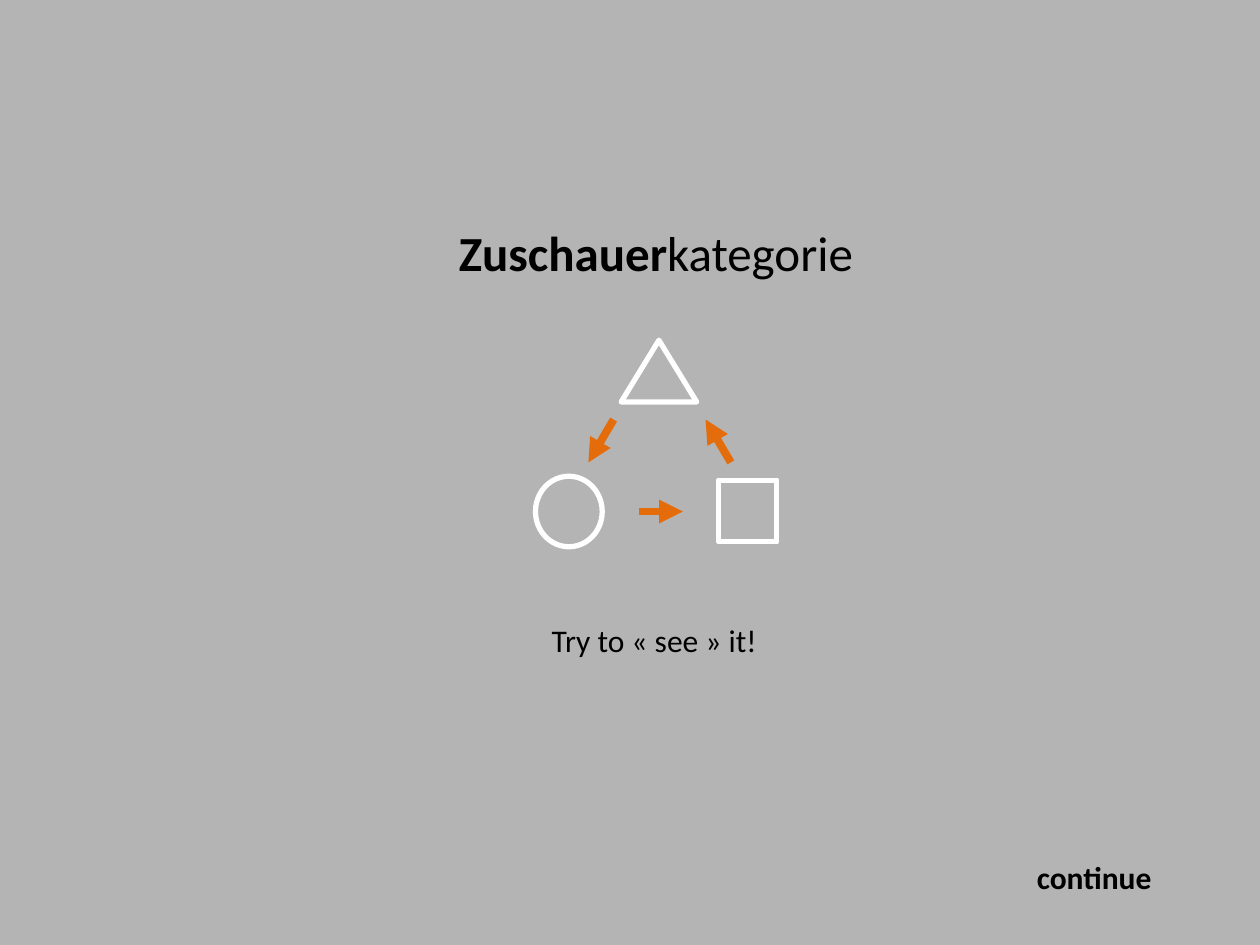
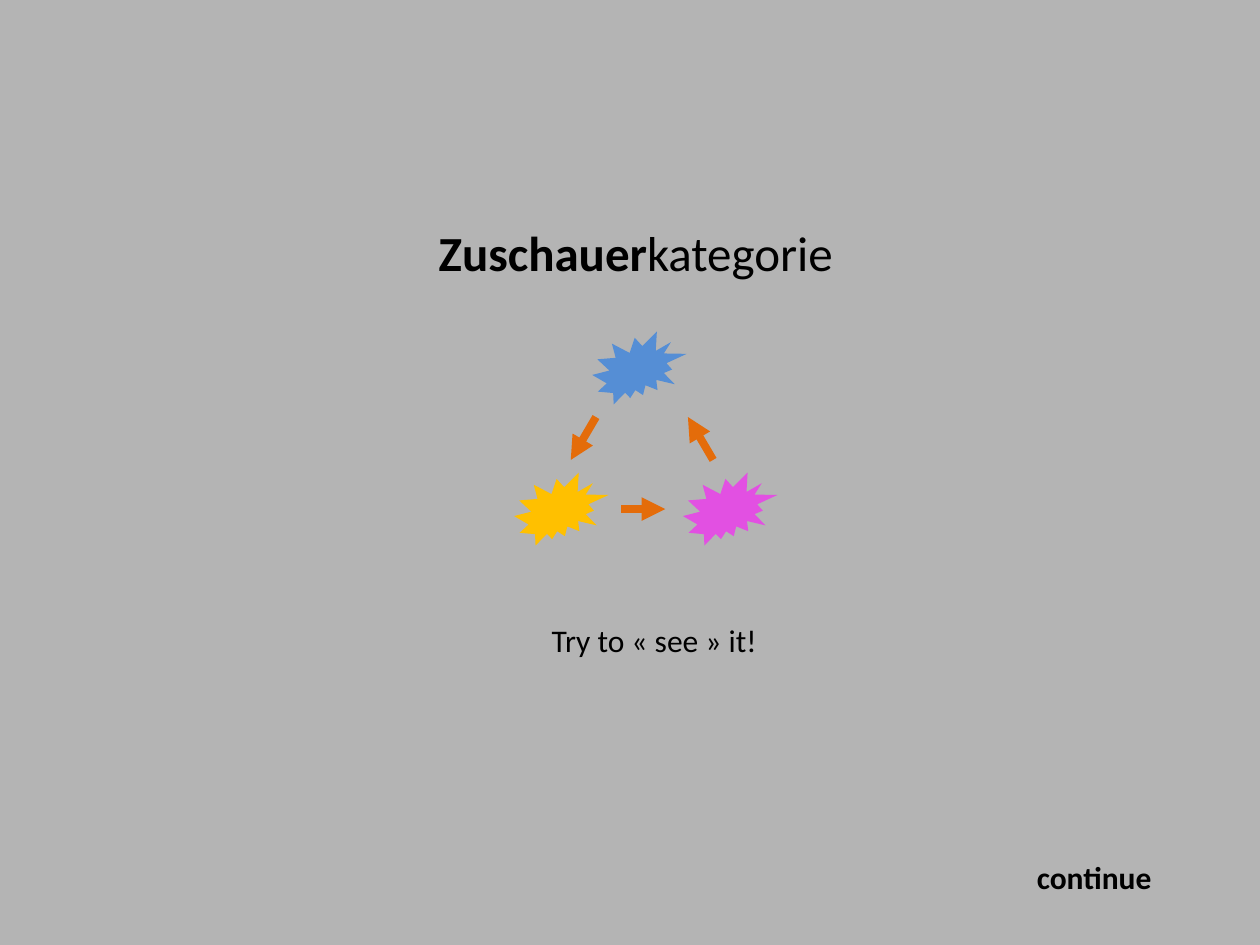
from lxml import etree
from pptx import Presentation
from pptx.dml.color import RGBColor
from pptx.enum.shapes import MSO_CONNECTOR, MSO_SHAPE
from pptx.enum.text import MSO_ANCHOR, PP_ALIGN
from pptx.oxml.ns import qn
from pptx.util import Inches, Pt

STRAIGHT = MSO_CONNECTOR.STRAIGHT
FRAME = MSO_SHAPE.FRAME
CIRCLE = MSO_SHAPE.OVAL
TRIANGLE = MSO_SHAPE.ISOSCELES_TRIANGLE
BURST = MSO_SHAPE.EXPLOSION2
BOTTOM, TOP = MSO_ANCHOR.BOTTOM, MSO_ANCHOR.TOP
CENTER, LEFT = PP_ALIGN.CENTER, PP_ALIGN.LEFT

BACKGROUND, INK, OUTLINE, ARROW = "B4B4B4", "000000", "FFFFFF", "E46C0A"
FONT = "Calibri"
ARROW_WIDTH = 4.5
TITLE_SIZE = (9.25, 1.78)
BURST_SIZE = (0.75, 0.58)

ARROWS = [
    ((0.62, 0.63), (0.42, 0.97)),
    ((1.55, 0.97), (1.35, 0.63)),
    ((0.82, 1.36), (1.17, 1.36)),
]
OUTLINES = [
    (FRAME, (1.45, 1.11), (0.47, 0.49), 2),
    (CIRCLE, (0, 1.08), (0.53, 0.56), 3),
    (TRIANGLE, (0.68, 0), (0.6, 0.49), 3),
]
BURSTS = [
    ((0.59, -0.05), "558ED5"),
    ((-0.03, 1.07), "FFC000"),
    ((1.31, 1.07), "E250E2"),
]


def color(value):
    """Turn a hex string into a colour."""
    return RGBColor.from_string(value)


def set_format(target, values):
    """Set each named attribute of the target."""
    for name, value in values.items():
        setattr(target, name, value)


def add_text(page, place, size, spans, points, align=LEFT, anchor=TOP, wrap=False):
    """Add a text box holding one paragraph of (text, bold) spans."""
    box = page.shapes.add_textbox(*map(Inches, place + size))
    set_format(box.text_frame, {"word_wrap": wrap, "vertical_anchor": anchor})
    para = box.text_frame.paragraphs[0]
    para.alignment = align
    for text, bold in spans:
        span = para.add_run()
        span.text = text
        set_format(span.font, {"name": FONT, "size": Pt(points), "bold": bold})
        span.font.color.rgb = color(INK)


def add_figure(page, kind, origin, offset, size):
    """Add a preset shape at an offset from the origin."""
    place = [start + step for start, step in zip(origin, offset)]
    figure = page.shapes.add_shape(kind, *map(Inches, (*place, *size)))
    figure.shadow.inherit = False
    return figure


def add_arrows(page, origin):
    """Add the three arrows that lead around the cycle."""
    left, top = origin
    for (x1, y1), (x2, y2) in ARROWS:
        ends = (left + x1, top + y1, left + x2, top + y2)
        arrow = page.shapes.add_connector(STRAIGHT, *map(Inches, ends))
        arrow.line.width = Pt(ARROW_WIDTH)
        arrow.line.color.rgb = color(ARROW)
        etree.SubElement(arrow.line._get_or_add_ln(), qn("a:tailEnd"), type="triangle")
        etree.SubElement(arrow._element.spPr, qn("a:effectLst"))


def add_outlines(page, origin):
    """Add the white square, circle and triangle."""
    for kind, offset, size, width in OUTLINES:
        figure = add_figure(page, kind, origin, offset, size)
        figure.fill.background()
        figure.line.width = Pt(width)
        figure.line.color.rgb = color(OUTLINE)
        if kind == FRAME:
            figure.adjustments[0] = 0.022


def add_bursts(page, origin):
    """Add the three coloured bursts."""
    for offset, fill in BURSTS:
        figure = add_figure(page, BURST, origin, offset, BURST_SIZE)
        figure.fill.solid()
        figure.fill.fore_color.rgb = color(fill)
        figure.line.fill.background()


def build_page(deck, title_left, origin, add_figures):
    """Build a page with its title, cycle, prompt and continue label."""
    page = deck.slides.add_slide(deck.slide_layouts[6])
    page.background.fill.solid()
    page.background.fill.fore_color.rgb = color(BACKGROUND)
    title = [("Zuschauer", True), ("kategorie", False)]
    add_text(page, (title_left, 0.5), TITLE_SIZE, title, 28, CENTER, BOTTOM, True)
    add_figures(page, origin)
    add_arrows(page, origin)
    add_text(page, (8.13, 6.76), (1.12, 0.4), [("continue", True)], 18)
    add_text(page, (4.28, 4.88), (1.85, 0.4), [("Try to « see » it!", False)], 18)


def main():
    """Build and save the deck."""
    deck = Presentation()
    set_format(deck, {"slide_width": Inches(10), "slide_height": Inches(7.5)})
    build_page(deck, 0.58, (4.25, 2.7), add_outlines)
    build_page(deck, 0.42, (4.11, 2.68), add_bursts)
    deck.save("out.pptx")


if __name__ == "__main__":
    main()
